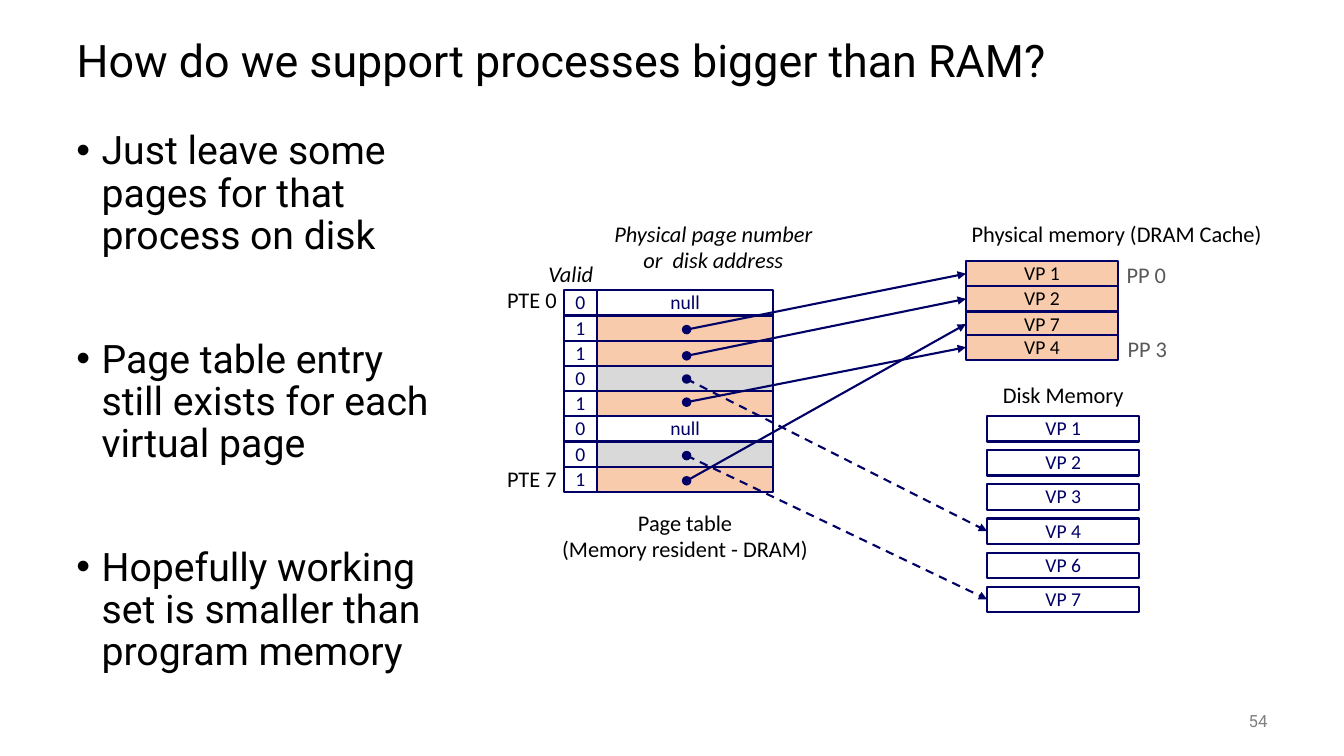
from dataclasses import dataclass

from lxml import etree
from pptx import Presentation
from pptx.dml.color import RGBColor
from pptx.enum.dml import MSO_LINE
from pptx.enum.shapes import MSO_CONNECTOR, MSO_SHAPE
from pptx.enum.text import MSO_ANCHOR, MSO_AUTO_SIZE, PP_ALIGN
from pptx.oxml.ns import qn
from pptx.util import Emu, Pt

LEFT, CENTER, RIGHT = PP_ALIGN.LEFT, PP_ALIGN.CENTER, PP_ALIGN.RIGHT
TOP, MIDDLE = MSO_ANCHOR.TOP, MSO_ANCHOR.MIDDLE
RECT, OVAL = MSO_SHAPE.RECTANGLE, MSO_SHAPE.OVAL
STRAIGHT, DASH = MSO_CONNECTOR.STRAIGHT, MSO_LINE.DASH
LEFT_SIDE = 1


@dataclass(frozen=True)
class Theme:
    black: str = "000000"
    navy: str = "000066"
    white: str = "FFFFFF"
    peach: str = "F8CBAD"
    silver: str = "D9D9D9"
    gray: str = "595959"
    pale: str = "808080"
    heading: str = "Roboto"
    diagram: str = "Calibri"
    title_size: int = 32
    bullet_size: int = 28
    label_size: int = 16
    cell_size: int = 14
    number_size: int = 12


THEME = Theme()

# Content; lengths are in px, 100 to the inch
TITLE = "How do we support processes bigger than RAM?"
BULLETS = [
    "Just leave some pages for that process on disk",
    "Page table entry still exists for each virtual page",
    "Hopefully working set is smaller than program memory",
]
PAGE_NUMBER = "54"

# Page table entries: valid bit, text, fill, top of dot, (memory, page) it points to
ENTRIES = [
    ("0", "null", THEME.white, None, None),
    ("1", "", THEME.peach, 323, ("ram", "VP 1")),
    ("1", "", THEME.peach, 349, ("ram", "VP 2")),
    ("0", "", THEME.silver, 372, ("disk", "VP 4")),
    ("1", "", THEME.peach, 395, ("ram", "VP 4")),
    ("0", "null", THEME.white, None, None),
    ("0", "", THEME.silver, 448, ("disk", "VP 7")),
    ("1", "", THEME.peach, 473, ("ram", "VP 7")),
]
RAM_PAGES = [("VP 1", 259), ("VP 2", 284), ("VP 7", 309), ("VP 4", 332)]
DISK_PAGES = ["VP 1", "VP 2", "VP 3", "VP 4", "VP 6", "VP 7"]

# Labels: text, (left, top, width, height), alignment, colour, italic
LABELS = [
    ("Physical page number\nor  disk address", (599, 214, 217, 63), CENTER, THEME.black, True),
    ("Valid", (534, 254, 75, 37), LEFT, THEME.black, True),
    ("PTE 0", (492, 280, 70, 37), RIGHT, THEME.black, False),
    ("PTE 7", (492, 457, 70, 37), RIGHT, THEME.black, False),
    ("Page table\n(Memory resident - DRAM)", (543, 501, 273, 63), CENTER, THEME.black, False),
    ("Physical memory (DRAM Cache)", (948, 214, 319, 37), CENTER, THEME.black, False),
    ("PP 0", (1107, 255, 60, 37), CENTER, THEME.gray, False),
    ("PP 3", (1108, 328, 60, 37), CENTER, THEME.gray, False),
    ("Disk Memory", (984, 374, 141, 37), CENTER, THEME.black, False),
]

# Layout
CELL_HEIGHT = 25
TABLE_TOP = 288
VALID_LEFT, VALID_WIDTH = 559, 33
ENTRY_LEFT, ENTRY_WIDTH = 592, 175
PAGE_WIDTH = 151
RAM_LEFT, DISK_LEFT = 958, 979
DISK_TOP, DISK_LAST_TOP = 413, 582
DOT_LEFT, DOT_SIZE = 677, 8


def px(value):
    return Emu(round(value * 9144))


def color(code):
    return RGBColor.from_string(code)


def write(para, text, face, size, code, align=LEFT, spacing=0.98, italic=False):
    para.text = text
    para.alignment = align
    para.line_spacing = spacing
    para.font.name = face
    para.font.size = Pt(size)
    para.font.color.rgb = color(code)
    para.font.italic = italic


def add_box(page, area, anchor=MIDDLE, wrap=False):
    frame = page.shapes.add_textbox(*map(px, area)).text_frame
    frame.word_wrap = wrap
    frame.vertical_anchor = anchor
    return frame


def add_shape(page, kind, area, fill, weight=1.5):
    shape = page.shapes.add_shape(kind, *map(px, area))
    shape.shadow.inherit = False
    if fill:
        shape.fill.solid()
        shape.fill.fore_color.rgb = color(fill)
    else:
        shape.fill.background()
    shape.line.color.rgb = color(THEME.navy)
    shape.line.width = Pt(weight)
    return shape


def add_cell(page, left, top, width, text, fill, code=THEME.navy):
    cell = add_shape(page, RECT, (left, top, width, CELL_HEIGHT), fill)
    if text:
        frame = cell.text_frame
        frame.word_wrap = False
        frame.vertical_anchor = MIDDLE
        frame.margin_left = frame.margin_right = frame.margin_top = frame.margin_bottom = 0
        write(frame.paragraphs[0], text, THEME.diagram, THEME.cell_size, code, CENTER)
    return cell


def add_arrow(page, start_x, start_y, target, dashed):
    end = target.left, target.top + target.height // 2
    arrow = page.shapes.add_connector(STRAIGHT, px(start_x), px(start_y), *end)
    arrow.end_connect(target, LEFT_SIDE)
    arrow.line.color.rgb = color(THEME.navy)
    arrow.line.width = Pt(1.5)
    if dashed:
        arrow.line.dash_style = DASH
    etree.SubElement(arrow.line._get_or_add_ln(), qn("a:tailEnd"), type="triangle")
    etree.SubElement(arrow._element.spPr, qn("a:effectLst"))


def add_title(page):
    title = page.shapes.title
    title.left, title.top, title.width, title.height = map(px, (66, 25, 1200, 75))
    frame = title.text_frame
    frame.auto_size = MSO_AUTO_SIZE.NONE
    frame.vertical_anchor = MIDDLE
    write(frame.paragraphs[0], TITLE, THEME.heading, THEME.title_size, THEME.black, spacing=0.9)


def add_bullets(page):
    frame = add_box(page, (66, 125, 386, 550), TOP, wrap=True)
    for index, text in enumerate(BULLETS):
        para = frame.add_paragraph() if index else frame.paragraphs[0]
        properties = para._p.get_or_add_pPr()
        properties.set("marL", str(px(25)))
        properties.set("indent", str(-px(25)))
        etree.SubElement(properties, qn("a:buFont"), typeface="Arial")
        etree.SubElement(properties, qn("a:buChar"), char="•")
        write(para, text, THEME.heading, THEME.bullet_size, THEME.black, spacing=0.9)
        if index:
            para.space_before = Pt(58)


def add_diagram(page):
    # Memory pages
    pages = {}
    for name, top in RAM_PAGES:
        pages["ram", name] = add_cell(page, RAM_LEFT, top, PAGE_WIDTH, name, THEME.peach, THEME.black)
    pitch = (DISK_LAST_TOP - DISK_TOP) / (len(DISK_PAGES) - 1)
    for index, name in enumerate(DISK_PAGES):
        top = DISK_TOP + index * pitch
        pages["disk", name] = add_cell(page, DISK_LEFT, top, PAGE_WIDTH, name, THEME.white)

    # Page table
    for index, (valid, text, fill, _, _) in enumerate(ENTRIES):
        top = TABLE_TOP + index * CELL_HEIGHT
        add_cell(page, ENTRY_LEFT, top, ENTRY_WIDTH, text, fill)
        add_cell(page, VALID_LEFT, top, VALID_WIDTH, valid, None)

    # Pointers
    for valid, _, _, dot_top, target in ENTRIES:
        if target:
            half = DOT_SIZE / 2
            add_arrow(page, DOT_LEFT + half, dot_top + half, pages[target], valid == "0")
            add_shape(page, OVAL, (DOT_LEFT, dot_top, DOT_SIZE, DOT_SIZE), THEME.navy, 1)

    # Labels
    for text, area, align, code, italic in LABELS:
        para = add_box(page, area).paragraphs[0]
        write(para, text, THEME.diagram, THEME.label_size, code, align, italic=italic)


def main():
    deck = Presentation()
    deck.slide_width, deck.slide_height = px(1333), px(750)
    page = deck.slides.add_slide(deck.slide_layouts[5])
    add_title(page)
    add_bullets(page)
    add_diagram(page)
    number = add_box(page, (1167, 695, 100, 40)).paragraphs[0]
    write(number, PAGE_NUMBER, THEME.heading, THEME.number_size, THEME.pale, RIGHT, 1.0)
    deck.save("out.pptx")


if __name__ == "__main__":
    main()
